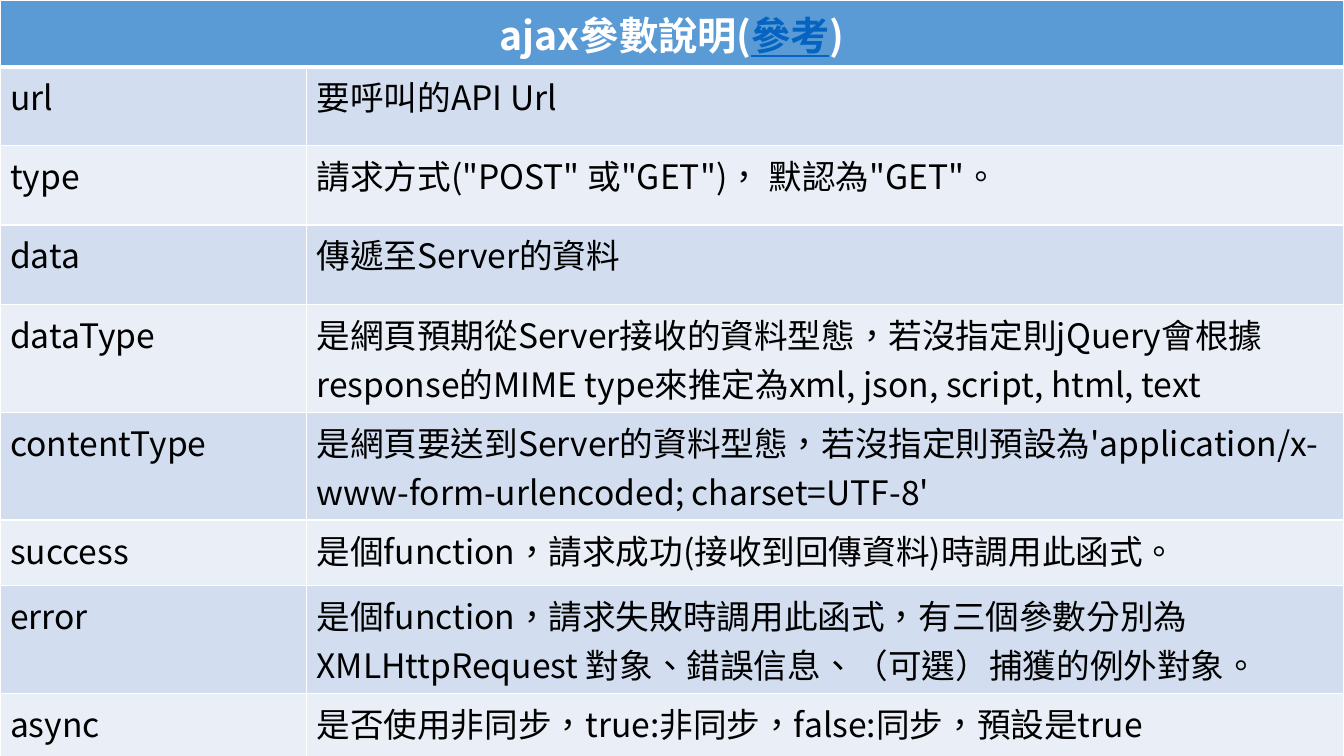
from pptx import Presentation
from pptx.dml.color import RGBColor
from pptx.enum.text import PP_ALIGN
from pptx.oxml import parse_xml
from pptx.oxml.ns import nsdecls
from pptx.util import Inches, Pt

CENTER = PP_ALIGN.CENTER

HEAD = [("ajax參數說明(", False), ("參考", True), (")", False)]
PARAMS = [
    ("url", "要呼叫的API Url", 0.78),
    ("type", '請求方式("POST" 或"GET")， 默認為"GET"。', 0.79),
    ("data", "傳遞至Server的資料", 0.79),
    ("dataType", "是網頁預期從Server接收的資料型態，若沒指定則jQuery會根據"
     "response的MIME type來推定為xml, json, script, html, text", 1.07),
    ("contentType", "是網頁要送到Server的資料型態，若沒指定則預設"
     "為'application/x-www-form-urlencoded; charset=UTF-8'", 1.06),
    ("success", "是個function，請求成功(接收到回傳資料)時調用此函式。", 0.65),
    ("error", "是個function，請求失敗時調用此函式，有三個參數分別為"
     "XMLHttpRequest 對象、錯誤信息、（可選）捕獲的例外對象。", 1.07),
    ("async", "是否使用非同步，true:非同步，false:同步，預設是true", 0.64),
]
HEAD_H = 0.65
COLS = [3.04, 10.29]
THEME = {
    "font": "Noto Sans CJK SC", "head": "5B9BD5", "bands": ("D2DEEF", "EAEFF7"),
    "white": "FFFFFF", "link": "0563C1", "ink": "000000",
    "head_size": 28, "size": 24, "rule": 1, "head_rule": 3,
}


def add_run(para, text, size, color, bold=False, under=False):
    run = para.add_run()
    run.text = text
    font = run.font
    font.name = THEME["font"]
    font.size = Pt(size)
    font.bold = bold
    font.underline = under
    font.color.rgb = RGBColor.from_string(color)
    props = run._r.get_or_add_rPr()
    props.set("lang", "zh-TW")
    props.append(parse_xml(f'<a:ea {nsdecls("a")} typeface="{THEME["font"]}"/>'))


def style(cell, fill, base=THEME["rule"]):
    """Draw the white borders and the fill; base is the bottom border width."""
    props = cell._tc.get_or_add_tcPr()
    for side in "LRTB":
        width = Pt(base if side == "B" else THEME["rule"])
        props.append(parse_xml(
            f'<a:ln{side} {nsdecls("a")} w="{width}"><a:solidFill>'
            f'<a:srgbClr val="{THEME["white"]}"/></a:solidFill></a:ln{side}>'))
    cell.fill.solid()
    cell.fill.fore_color.rgb = RGBColor.from_string(fill)


def add_grid(slide):
    heights = [HEAD_H] + [high for _, _, high in PARAMS]
    grid = slide.shapes.add_table(
        len(heights), len(COLS), 0, 0, Inches(sum(COLS)), Inches(sum(heights))).table
    for col, wide in zip(grid.columns, COLS):
        col.width = Inches(wide)
    for row, high in zip(grid.rows, heights):
        row.height = Inches(high)
    return grid


def fill_head(grid):
    first = grid.cell(0, 0)
    first.merge(grid.cell(0, 1))
    for col in range(len(COLS)):
        style(grid.cell(0, col), THEME["head"], THEME["head_rule"])
    para = first.text_frame.paragraphs[0]
    para.alignment = CENTER
    for text, link in HEAD:
        color = THEME["link"] if link else THEME["white"]
        add_run(para, text, THEME["head_size"], color, True, link)


def fill_body(grid):
    for row, (name, note, _) in enumerate(PARAMS, 1):
        for col, text in enumerate((name, note)):
            cell = grid.cell(row, col)
            base = THEME["rule"]
            style(cell, THEME["bands"][(row - 1) % 2], base)
            add_run(cell.text_frame.paragraphs[0], text, THEME["size"], THEME["ink"])


def main():
    deck = Presentation()
    deck.slide_width, deck.slide_height = Inches(13.33), Inches(7.5)
    slide = deck.slides.add_slide(deck.slide_layouts[6])
    grid = add_grid(slide)
    fill_head(grid)
    fill_body(grid)
    deck.save("out.pptx")


if __name__ == "__main__":
    main()
